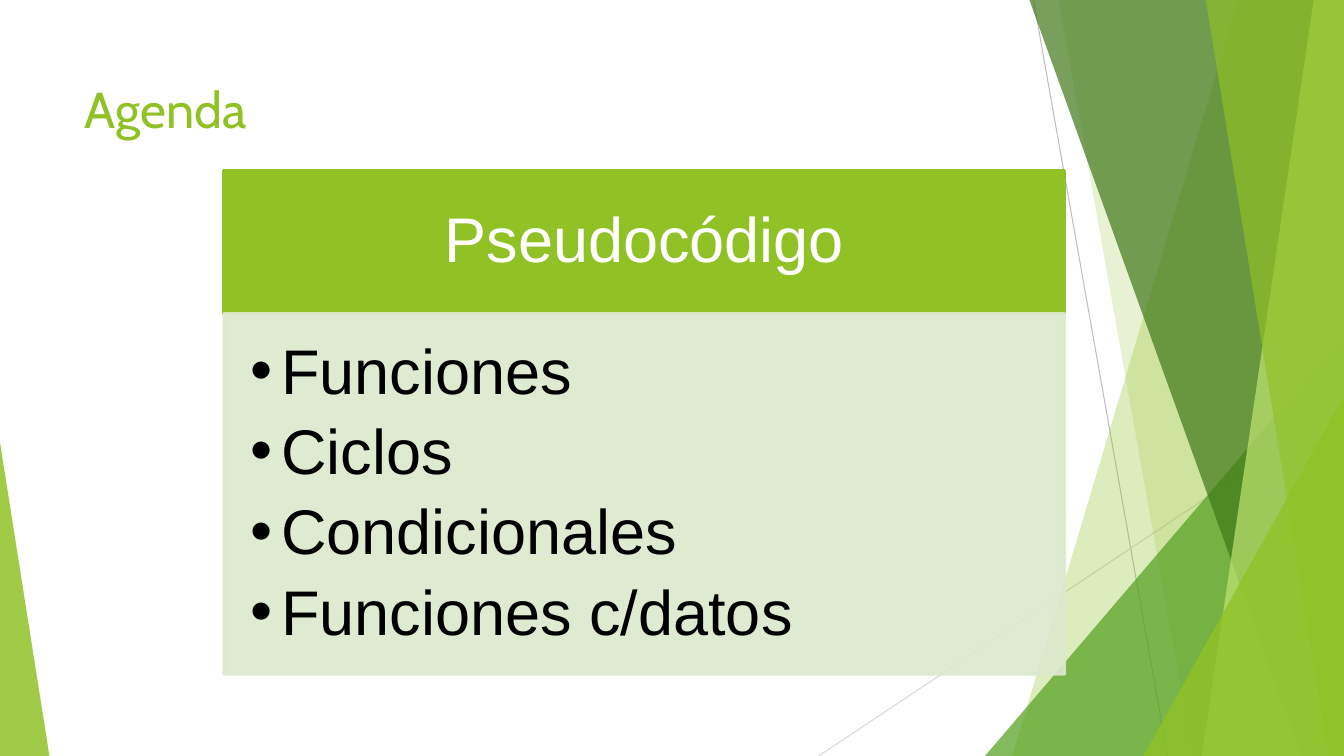
import pptx
import pptx.util
import pptx.dml.color
import pptx.enum.shapes
import pptx.enum.text
import pptx.oxml
import pptx.oxml.ns
import lxml.etree

Inches, Pt = pptx.util.Inches, pptx.util.Pt
Kind = pptx.enum.shapes.MSO_SHAPE
Align = pptx.enum.text.PP_ALIGN
Anchor = pptx.enum.text.MSO_ANCHOR
WIDE, HIGH = 13.33, 7.5
LIME, GREEN, DARK, PALE = "90C226", "54A021", "3F7818", "DBE9CD"


def add_tag(node, tag, **values):
    """Append a drawing element to a node."""
    return lxml.etree.SubElement(node, pptx.oxml.ns.qn(tag), **values)


def set_all(item, values):
    """Set each attribute in a dict of format values."""
    for name, value in values.items():
        setattr(item, name, value)


def tint(fill, color, alpha=100):
    """Give a fill a solid colour with an opacity in percent."""
    fill.solid()
    fill.fore_color.rgb = pptx.dml.color.RGBColor.from_string(color)
    if alpha < 100:
        node = fill._xPr.find(pptx.oxml.ns.qn("a:solidFill"))[0]
        add_tag(node, "a:alpha", val=str(alpha * 1000))


def paint(shape, color, alpha=100, line=None):
    """Fill a shape, and outline it if a width is given."""
    shape.shadow.inherit = False
    tint(shape.fill, color, alpha)
    if line:
        shape.line.width = Pt(line)
        tint(shape.line.fill, color, alpha)
    else:
        shape.line.fill.background()


def write(para, text, font, size, color, **form):
    """Put one formatted run in a paragraph."""
    run = para.add_run()
    run.text = text
    set_all(run.font, {"name": font, "size": Pt(size), "bold": False})
    tint(run.font.fill, color)
    set_all(para, form)


def pad(frame, left, top, right, bottom, **form):
    """Set the insets and other formats of a text frame."""
    sides = zip(("left", "top", "right", "bottom"), (left, top, right, bottom))
    set_all(frame, {f"margin_{side}": Inches(gap) for side, gap in sides})
    set_all(frame, {"word_wrap": True, **form})


def add_line(slide, start, end, color):
    """Draw a thin straight line."""
    points = [Inches(n) for n in start + end]
    line = slide.shapes.add_connector(
        pptx.enum.shapes.MSO_CONNECTOR.STRAIGHT, *points)
    line.line.width = Pt(0.75)
    tint(line.line.fill, color)
    add_tag(line._element.spPr, "a:effectLst")


def add_facet(slide, box, head, foot, color, alpha):
    """Draw a facet from its slanted left edge to the right of the box."""
    left, top, width, height = box
    right, base = left + width, top + height
    spots = [(head, top), (right, top), (right, base), (foot, base)]
    spots = [(Inches(x), Inches(y)) for x, y in spots]
    build = slide.shapes.build_freeform(*spots[0])
    build.add_line_segments(spots[1:], close=True)
    paint(build.convert_to_shape(), color, alpha)


def add_wedge(slide, box, wide, high, tip, color, alpha):
    """Draw a triangle in a low corner: tip 0 is left, 1 is right."""
    left, top, width, height = box
    spot = (left + tip * (width - wide), top + height - high, wide, high)
    shape = slide.shapes.add_shape(Kind.ISOSCELES_TRIANGLE, *map(Inches, spot))
    shape.adjustments[0] = tip
    paint(shape, color, alpha)


def add_decor(slide, box):
    """Draw the lines, facets and wedges at the slide edges."""
    add_line(slide, (10.25, 0), (11.58, HIGH), "BFBFBF")
    add_line(slide, (WIDE, 4.03), (8.12, HIGH), "D8D8D8")
    parts = [
        (add_facet, 12.28, 10.04, LIME, 30),
        (add_facet, 10.5, 11.83, LIME, 20),
        (add_wedge, 3.56, 4.17, 1, GREEN, 72),
        (add_facet, 10.21, 12.91, DARK, 70),
        (add_facet, 13.03, 11.92, "BFE471", 70),
        (add_facet, 11.96, 13.18, LIME, 65),
        (add_wedge, 1.99, 3.57, 1, LIME, 80),
        (add_wedge, 0.49, 3.11, 0, LIME, 85),
    ]
    for draw, *values in parts:
        draw(slide, box, *values)


def add_title(slide, box, text):
    """Place and format the title placeholder."""
    title = slide.shapes.title
    set_all(title, dict(zip(("left", "top", "width", "height"), map(Inches, box))))
    frame = title.text_frame
    pad(frame, 0.1, 0.1, 0.1, 0.1, vertical_anchor=Anchor.TOP)
    write(frame.paragraphs[0], text, "Cabin", 36, LIME, alignment=Align.LEFT)


def add_panel(slide, box, color, alpha, insets, anchor):
    """Add a filled panel and return its text frame."""
    shape = slide.shapes.add_shape(Kind.RECTANGLE, *map(Inches, box))
    paint(shape, color, alpha, 2)
    pad(shape.text_frame, *insets, vertical_anchor=anchor)
    return shape.text_frame


def add_card(slide, box, head, items):
    """Draw a header band above a panel of bullets."""
    left, top, width, height = box
    band = 1.42
    frame = add_panel(slide, (left, top, width, band), LIME, 100,
                      (0.35, 0.2, 0.35, 0.2), Anchor.MIDDLE)
    write(frame.paragraphs[0], head, "Arial", 45, "FFFFFF",
          alignment=Align.CENTER, line_spacing=0.9)
    frame = add_panel(slide, (left, top + band, width, height - band), PALE, 90,
                      (0.26, 0.26, 0.35, 0.39), Anchor.TOP)
    for rank, item in enumerate(items):
        para = frame.add_paragraph() if rank else frame.paragraphs[0]
        write(para, item, "Arial", 45, "000000", alignment=Align.LEFT,
              line_spacing=0.9, space_after=Pt(8.8))
        form = para._p.get_or_add_pPr()
        indent = Inches(0.31)
        form.set("marL", str(indent))
        form.set("indent", str(-indent))
        add_tag(form, "a:buFont", typeface="Arial")
        add_tag(form, "a:buChar", char="•")


def main():
    """Build and save the agenda slide."""
    deck = pptx.Presentation()
    set_all(deck, {"slide_width": Inches(WIDE), "slide_height": Inches(HIGH)})
    slide = deck.slides.add_slide(deck.slide_layouts.get_by_name("Title Only"))
    tint(slide.background.fill, "FFFFFF")
    add_decor(slide, (0, 0, WIDE, HIGH))
    add_title(slide, (0.74, 0.67, 9.4, 1.44), "Agenda")
    add_card(slide, (2.22, 1.69, 8.34, 5), "Pseudocódigo",
             ["Funciones", "Ciclos", "Condicionales", "Funciones c/datos"])
    deck.save("out.pptx")


main()
